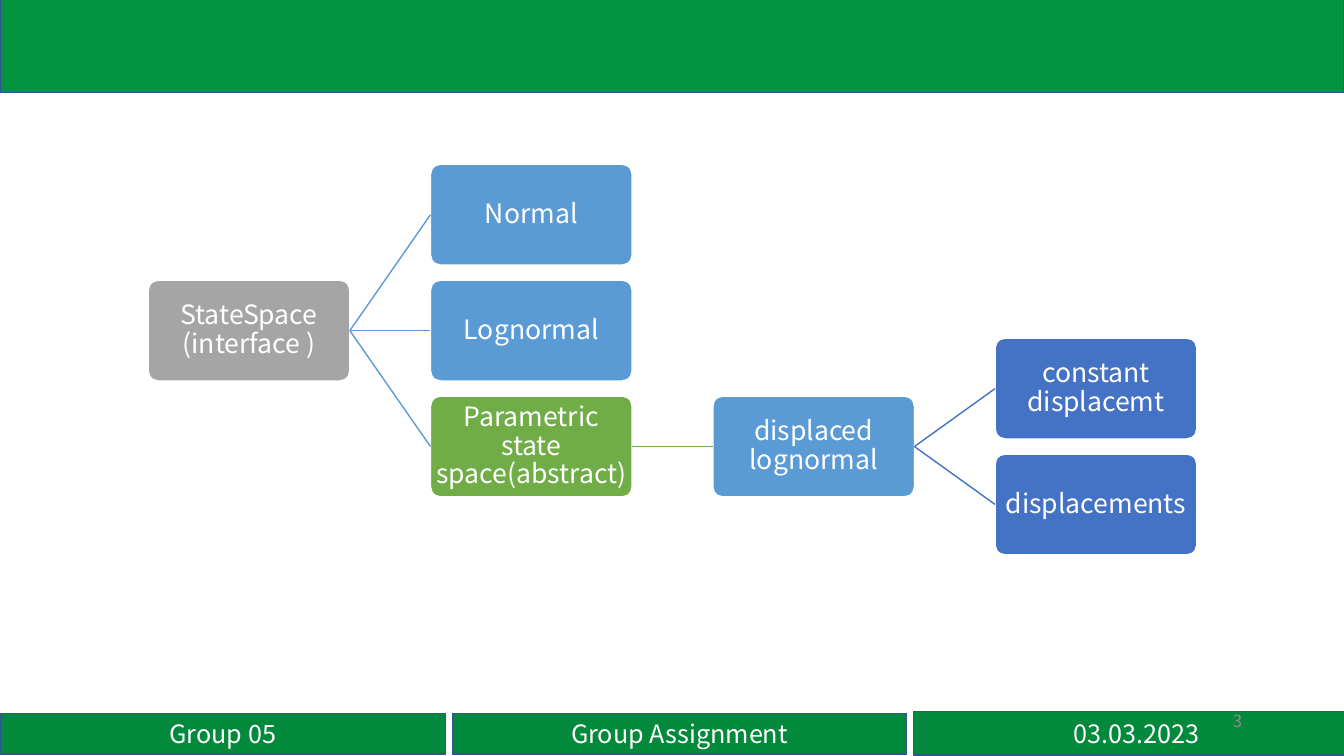
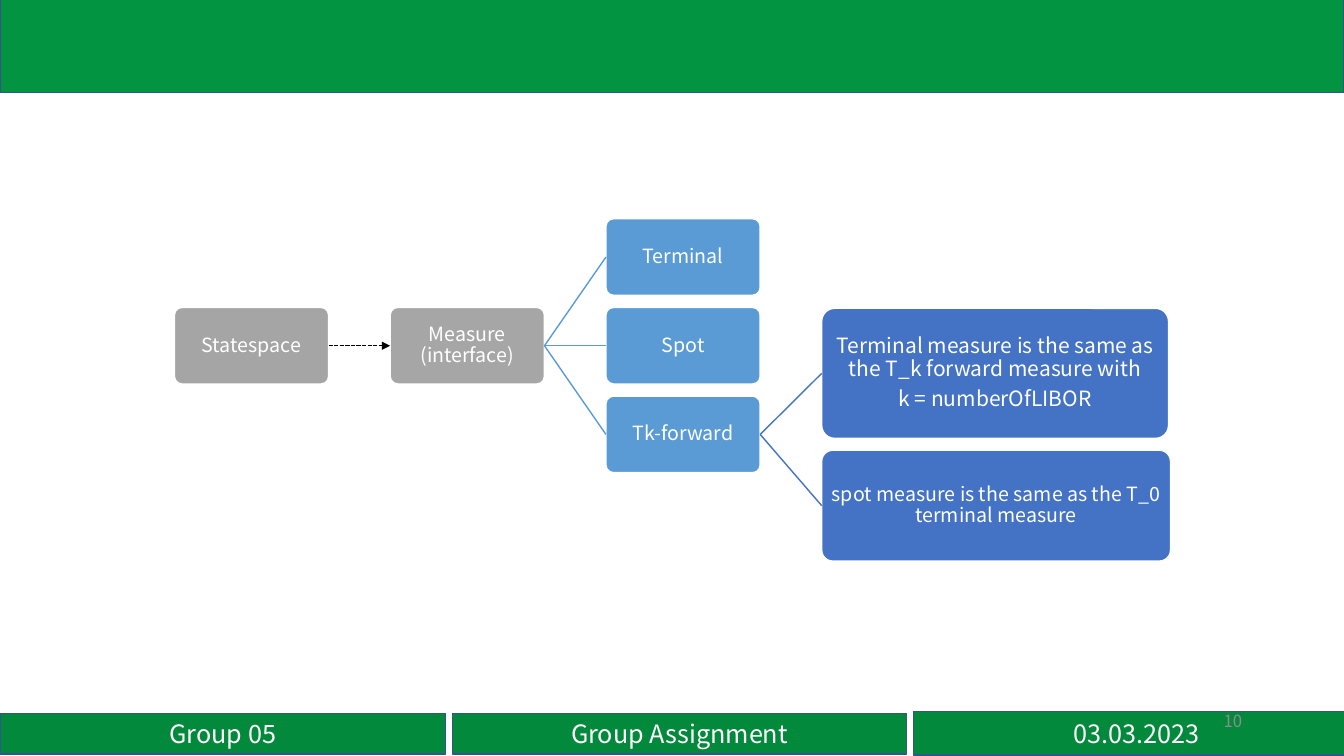
"""Build two class tree slides that share a top band and a footer."""
from dataclasses import dataclass

from lxml.etree import SubElement as Sub
from pptx import Presentation
from pptx.dml.color import RGBColor as Rgb
from pptx.enum.dml import MSO_LINE as Dash
from pptx.enum.shapes import MSO_CONNECTOR as Wire, MSO_SHAPE as Form
from pptx.enum.text import MSO_ANCHOR as Anchor, PP_ALIGN as Align
from pptx.oxml.ns import qn
from pptx.util import Inches, Pt


@dataclass(frozen=True)
class Theme:
    """Hold the colours, type sizes and slide size."""
    font: str = "Noto Sans CJK SC"
    white: str = "FFFFFF"
    black: str = "000000"
    edge: str = "325491"
    band: str = "029440"
    foot: str = "03893B"
    mute: str = "8C8C8C"
    gray: str = "A5A5A5"
    silver: str = "A6A6A6"
    sky: str = "5B9BD5"
    green: str = "70AD47"
    blue: str = "4472C4"
    foot_size: int = 18
    page_size: int = 12
    big: int = 19
    mid: int = 15
    small: int = 14
    wide: float = 13.33
    high: float = 7.5


LOOK = Theme()
FOOT = (
    ("Group 05", (0, 94.4, 33.16, 5.33)),
    ("Group Assignment", (33.68, 94.4, 33.76, 5.33)),
    ("03.03.2023", (67.97, 94.13, 33.16, 5.73)),
)
BAND = (0, -0.67, 100, 12.93)
PAGE = (70.67, 92.67, 22.5, 5.33)


@dataclass(frozen=True)
class Grid:
    """Place equal cells by column and row."""
    left: float
    top: float
    wide: float
    high: float
    col: float
    row: float

    def area(self, col, row, size=None):
        """Return the inches of a cell, or of a box that starts there."""
        wide, high = size or (self.wide, self.high)
        return self.left + col * self.col, self.top + row * self.row, wide, high


def share(left, top, wide, high):
    """Turn percents of the slide into inches."""
    return (left * LOOK.wide / 100, top * LOOK.high / 100,
            wide * LOOK.wide / 100, high * LOOK.high / 100)


def write(shape, text, size, color=LOOK.white, align=Align.CENTER):
    """Set the text of a shape and format its runs."""
    frame = shape.text_frame
    frame.text = text
    frame.word_wrap = True
    frame.vertical_anchor = Anchor.MIDDLE
    for para in frame.paragraphs:
        para.alignment = align
        for run in para.runs:
            run.font.name = LOOK.font
            run.font.size = Pt(size)
            run.font.color.rgb = Rgb.from_string(color)
    return frame


def block(slide, form, area, fill, line):
    """Add a flat filled shape with a thin line."""
    shape = slide.shapes.add_shape(form, *map(Inches, area))
    shape.shadow.inherit = False
    shape.fill.solid()
    shape.fill.fore_color.rgb = Rgb.from_string(fill)
    shape.line.color.rgb = Rgb.from_string(line)
    shape.line.width = Pt(1)
    return shape


def node(slide, area, text, fill, size):
    """Add a rounded box of the tree."""
    shape = block(slide, Form.ROUNDED_RECTANGLE, area, fill, LOOK.white)
    shape.adjustments[0] = 0.1
    frame = write(shape, text, size)
    frame.margin_left = frame.margin_right = Inches(0.01)
    frame.margin_top = frame.margin_bottom = Inches(0.01)
    for para in frame.paragraphs:
        para.line_spacing = 0.9
        para.space_after = Pt(0.35 * size)
    return shape


def link(slide, start, end, color):
    """Join the right side of one box to the left side of another."""
    wire = slide.shapes.add_connector(Wire.STRAIGHT, 0, 0, 0, 0)
    wire.begin_connect(start, 3)
    wire.end_connect(end, 1)
    wire.line.color.rgb = Rgb.from_string(color)
    wire.line.width = Pt(1)
    Sub(wire.element.spPr, qn("a:effectLst"))
    return wire


def arrow(slide, start, end):
    """Join two boxes with a dashed arrow."""
    wire = link(slide, start, end, LOOK.black)
    wire.line.dash_style = Dash.SQUARE_DOT
    Sub(wire.element.spPr.find(qn("a:ln")), qn("a:tailEnd"), type="triangle")


def fan(slide, start, ends, color):
    """Link one box to each of its children."""
    for end in ends:
        link(slide, start, end, color)


def base(deck, page):
    """Add a slide with the bands, footer and page number."""
    slide = deck.slides.add_slide(deck.slide_layouts[6])
    for text, part in FOOT:
        cell = block(slide, Form.RECTANGLE, share(*part), LOOK.foot, LOOK.edge)
        write(cell, text, LOOK.foot_size)
    block(slide, Form.RECTANGLE, share(*BAND), LOOK.band, LOOK.edge)
    label = slide.shapes.add_textbox(*map(Inches, share(*PAGE)))
    write(label, page, LOOK.page_size, LOOK.mute, Align.RIGHT)
    return slide


def spaces(deck):
    """Draw the tree of state spaces."""
    slide = base(deck, "3")
    grid = Grid(1.47, 1.63, 2, 1, 2.8, 1.15)

    def put(col, row, text, fill):
        """Add a box at a grid cell."""
        return node(slide, grid.area(col, row), text, fill, LOOK.big)

    root = put(0, 1, "StateSpace (interface )", LOOK.gray)
    kinds = [put(1, row, text, fill) for row, (text, fill) in enumerate((
        ("Normal", LOOK.sky),
        ("Lognormal", LOOK.sky),
        ("Parametric state space(abstract)", LOOK.green)))]
    moved = put(2, 2, "displaced lognormal", LOOK.sky)
    leaves = [put(3, row + 1.5, text, LOOK.blue) for row, text in enumerate(
        ("constant displacemt", "displacements"))]
    fan(slide, root, kinds, LOOK.sky)
    fan(slide, kinds[-1], [moved], LOOK.green)
    fan(slide, moved, leaves, LOOK.blue)


def measures(deck):
    """Draw the tree of measures."""
    slide = base(deck, "10")
    grid = Grid(1.73, 2.17, 1.53, 0.76, 2.14, 0.88)

    def put(col, row, text, fill, size=LOOK.small, area=None):
        """Add a box at a grid cell, with its own size if given."""
        return node(slide, grid.area(col, row, area), text, fill, size)

    state = put(0, 1, "Statespace", LOOK.gray)
    root = put(1, 1, "Measure (interface)", LOOK.silver)
    kinds = [put(2, row, text, LOOK.sky) for row, text in enumerate(
        ("Terminal", "Spot", "Tk-forward"))]
    notes = [
        put(3, 1.01, "Terminal measure is the same as the T_k forward "
            "measure with\nk = numberOfLIBOR", LOOK.blue, LOOK.mid, (3.44, 1.29)),
        put(3, 2.61, "spot measure is the same as the T_0 terminal measure",
            LOOK.blue, area=(3.46, 1.1)),
    ]
    arrow(slide, state, root)
    fan(slide, root, kinds, LOOK.sky)
    fan(slide, kinds[-1], notes, LOOK.blue)


def main():
    """Build and save the deck."""
    deck = Presentation()
    deck.slide_width = Inches(LOOK.wide)
    deck.slide_height = Inches(LOOK.high)
    spaces(deck)
    measures(deck)
    deck.save("out.pptx")


if __name__ == "__main__":
    main()
